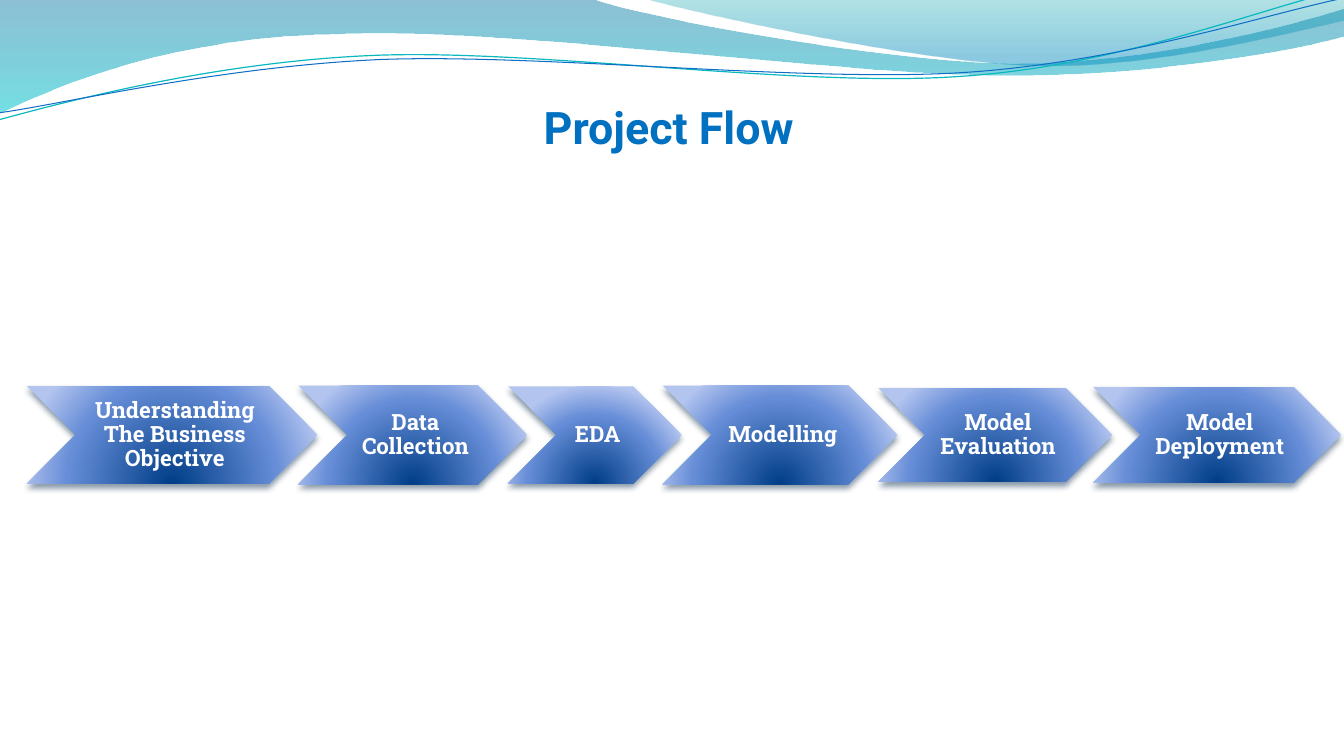
from dataclasses import dataclass
from itertools import chain

from lxml import etree
from pptx import Presentation
from pptx.dml.color import RGBColor
from pptx.enum.shapes import MSO_SHAPE
from pptx.enum.text import MSO_ANCHOR, MSO_AUTO_SIZE, PP_ALIGN
from pptx.oxml import parse_xml
from pptx.oxml.ns import nsdecls, qn
from pptx.shapes.autoshape import Shape
from pptx.slide import Slide
from pptx.text.text import TextFrame
from pptx.util import Cm, Pt

CHEVRON = MSO_SHAPE.CHEVRON
CENTER = PP_ALIGN.CENTER
TOP, MIDDLE = MSO_ANCHOR.TOP, MSO_ANCHOR.MIDDLE
NO_AUTOFIT = MSO_AUTO_SIZE.NONE

Point = tuple[float, float]
Segment = tuple[Point, ...]
Stop = tuple[int, str, int]  # position %, colour, opacity %
LINEAR_DOWN = '<a:lin ang="5400000" scaled="1"/>'
RADIAL_FROM_BELOW = ('<a:path path="circle"><a:fillToRect l="50000" t="130000" '
                     'r="50000" b="-30000"/></a:path>')


@dataclass(frozen=True)
class Theme:
    title_font: str = "Roboto"
    step_font: str = "Roboto Slab"
    title_size: float = 32
    step_size: float = 16
    title_color: str = "0070C0"
    step_color: str = "FFFFFF"
    shadow: str = "042747"
    teal_line: str = "0AB8BF"
    blue_line: str = "0F6FC6"
    band: tuple[Stop, ...] = ((0, "0074A1", 45), (100, "00C6CF", 55))
    sheen: tuple[Stop, ...] = ((0, "00A1A9", 30), (80, "008BBF", 45))
    step: tuple[Stop, ...] = ((0, "003D87", 100), (68, "668DD7", 100),
                              (100, "B3C4EF", 100))


THEME = Theme()


@dataclass(frozen=True)
class Wave:
    """Outline in cm: a segment of one point is straight, of three a Bézier curve."""
    start: Point
    segments: tuple[Segment, ...]
    fill: tuple[Stop, ...] = ()
    line: str = ""
    weight: float = 0


@dataclass(frozen=True)
class Step:
    label: str
    width: float
    height: float


WAVES = (
    Wave((0, 0), (
        ((14.91, -0.03),),
        ((16.1, 0.43), (22.48, 1.6), (25.68, 1.6)),
        ((28.91, 1.6), (32.46, 0.66), (33.86, 0.23)),
        ((33.91, 0.91),),
        ((33.3, 1.12), (29.46, 1.93), (25.25, 1.9)),
        ((21.06, 1.9), (12.93, 0.71), (8.71, 0.86)),
        ((4.37, 0.91), (1.55, 2.11), (-0.03, 2.87)),
    ), fill=THEME.band),
    Wave((16.23, -0.03), (
        ((17.25, 0.28), (23.09, 1.57), (26.04, 1.65)),
        ((28.98, 1.75), (32.56, 0.81), (33.86, 0.53)),
        ((33.86, 0),),
    ), fill=THEME.sheen),
    Wave((-0.03, 3.02), (
        ((1.63, 2.57), (5.36, 1.57), (9.37, 1.4)),
        ((13.39, 1.22), (20.07, 2.21), (24.13, 1.93)),
        ((28.19, 1.68), (31.8, 0.2), (33.81, -0.25)),
    ), line=THEME.teal_line, weight=0.85),
    Wave((0, 2.84), (
        ((1.6, 2.62), (5.54, 1.68), (9.6, 1.5)),
        ((13.64, 1.35), (20.22, 2.08), (24.26, 1.83)),
        ((28.32, 1.57), (31.88, 0.36), (33.88, -0.05)),
    ), line=THEME.blue_line, weight=0.75),
)

STEPS = (
    Step("Understanding The Business Objective", 7.32, 2.46),
    Step("Data Collection", 5.77, 2.49),
    Step("EDA", 4.37, 2.44),
    Step("Modelling", 5.92, 2.49),
    Step("Model Evaluation", 5.89, 2.36),
    Step("Model Deployment", 6.25, 2.41),
)
FLOW_LEFT, FLOW_MIDDLE, FLOW_OVERLAP = 0.68, 10.96, 0.48


def bend_segments(sp: Shape, segments: tuple[Segment, ...]) -> None:
    """Turn the straight pieces of each three-point segment into one Bézier curve."""
    pieces = iter(list(sp.element.spPr.iter(qn("a:lnTo"))))
    for segment in segments:
        first, *others = [next(pieces) for _ in segment]
        if others:
            first.tag = qn("a:cubicBezTo")
        for piece in others:
            first.append(piece[0])
            piece.getparent().remove(piece)


def set_gradient(sp: Shape, stops: tuple[Stop, ...], direction: str) -> None:
    sp.fill.background()
    stop_xml = "".join(
        f'<a:gs pos="{pos * 1000}"><a:srgbClr val="{color}">'
        f'<a:alpha val="{opacity * 1000}"/></a:srgbClr></a:gs>'
        for pos, color, opacity in stops)
    gradient = parse_xml(f'<a:gradFill {nsdecls("a")} rotWithShape="1">'
                         f'<a:gsLst>{stop_xml}</a:gsLst>{direction}</a:gradFill>')
    sp_pr = sp.element.spPr
    sp_pr.replace(sp_pr.find(qn("a:noFill")), gradient)


def add_drop_shadow(sp: Shape) -> None:
    sp.shadow.inherit = False
    effects = sp.element.spPr.find(qn("a:effectLst"))
    shadow = etree.SubElement(effects, qn("a:outerShdw"), blurRad=str(Pt(4.5)),
                              dist=str(Pt(3)), dir="5400000", rotWithShape="0")
    color = etree.SubElement(shadow, qn("a:srgbClr"), val=THEME.shadow)
    etree.SubElement(color, qn("a:alpha"), val="48000")


def write_text(tf: TextFrame, text: str, font: str, size: float, color: str,
               line_spacing: float) -> None:
    tf.word_wrap = True
    tf.auto_size = NO_AUTOFIT
    p = tf.paragraphs[0]
    p.alignment = CENTER
    p.line_spacing = line_spacing
    r = p.add_run()
    r.text = text
    r.font.name = font
    r.font.size = Pt(size)
    r.font.bold = True
    r.font.color.rgb = RGBColor.from_string(color)


def add_wave(s: Slide, wave: Wave) -> None:
    builder = s.shapes.build_freeform(*map(Cm, wave.start))
    points = [(Cm(x), Cm(y)) for x, y in chain(*wave.segments)]
    builder.add_line_segments(points, close=bool(wave.fill))
    sp = builder.convert_to_shape()
    bend_segments(sp, wave.segments)
    sp.shadow.inherit = False
    if wave.fill:
        set_gradient(sp, wave.fill, LINEAR_DOWN)
        sp.line.fill.background()
    else:
        sp.fill.background()
        sp.line.color.rgb = RGBColor.from_string(wave.line)
        sp.line.width = Pt(wave.weight)


def add_step(s: Slide, step: Step, left: float) -> None:
    sp = s.shapes.add_shape(CHEVRON, Cm(left), Cm(FLOW_MIDDLE - step.height / 2),
                            Cm(step.width), Cm(step.height))
    set_gradient(sp, THEME.step, RADIAL_FROM_BELOW)
    sp.line.fill.background()
    add_drop_shadow(sp)
    tf = sp.text_frame
    tf.vertical_anchor = MIDDLE
    tf.margin_left = Cm(0.18)
    tf.margin_right = tf.margin_top = tf.margin_bottom = Cm(0.05)
    write_text(tf, step.label, THEME.step_font, THEME.step_size, THEME.step_color, 0.9)


def set_title(s: Slide, text: str) -> None:
    title = s.shapes.title
    title.left, title.top = Cm(0.66), Cm(2.39)
    title.width, title.height = Cm(32.39), Cm(2.82)
    tf = title.text_frame
    tf.vertical_anchor = TOP
    write_text(tf, text, THEME.title_font, THEME.title_size, THEME.title_color, 1.0)


def main() -> None:
    prs = Presentation()
    prs.slide_width, prs.slide_height = Cm(33.87), Cm(19.05)
    s = prs.slides.add_slide(prs.slide_layouts[5])
    set_title(s, "Project Flow")
    for wave in WAVES:
        add_wave(s, wave)
    left = FLOW_LEFT
    for step in STEPS:
        add_step(s, step, left)
        left += step.width - FLOW_OVERLAP
    prs.save("out.pptx")


if __name__ == "__main__":
    main()
